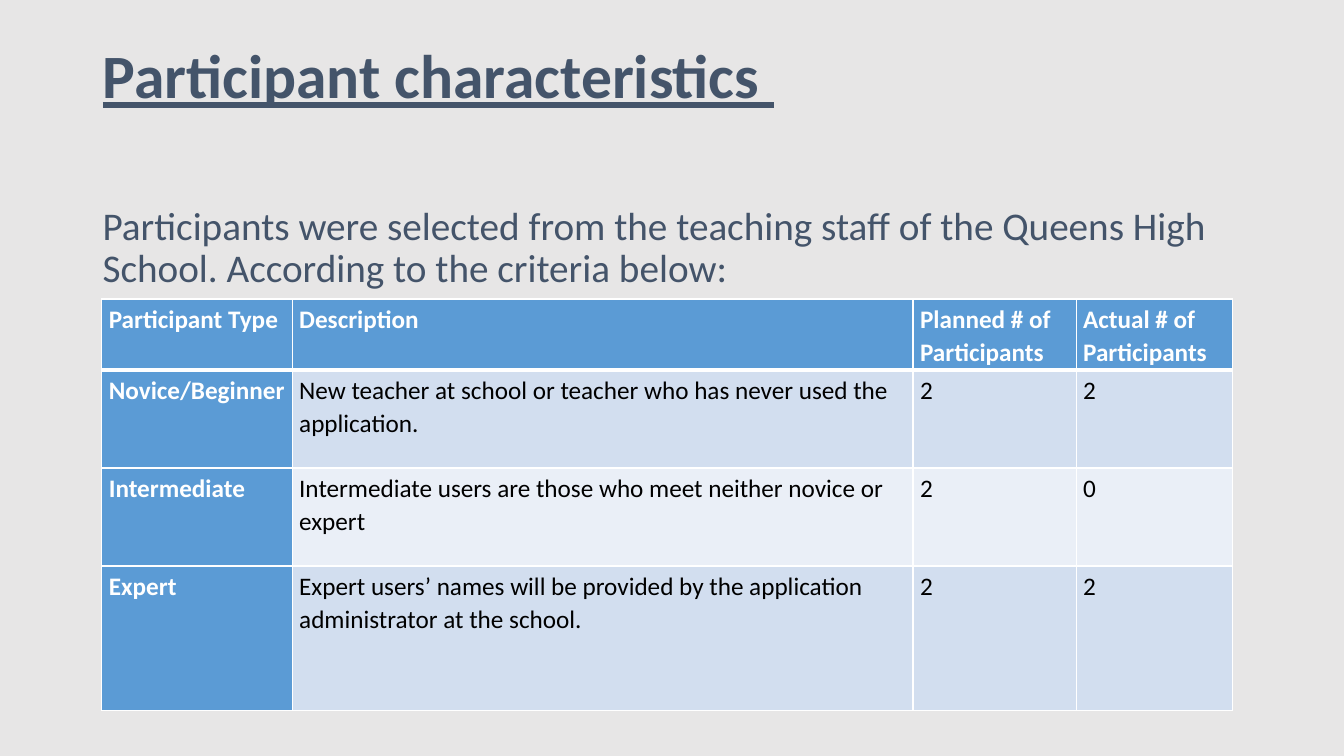
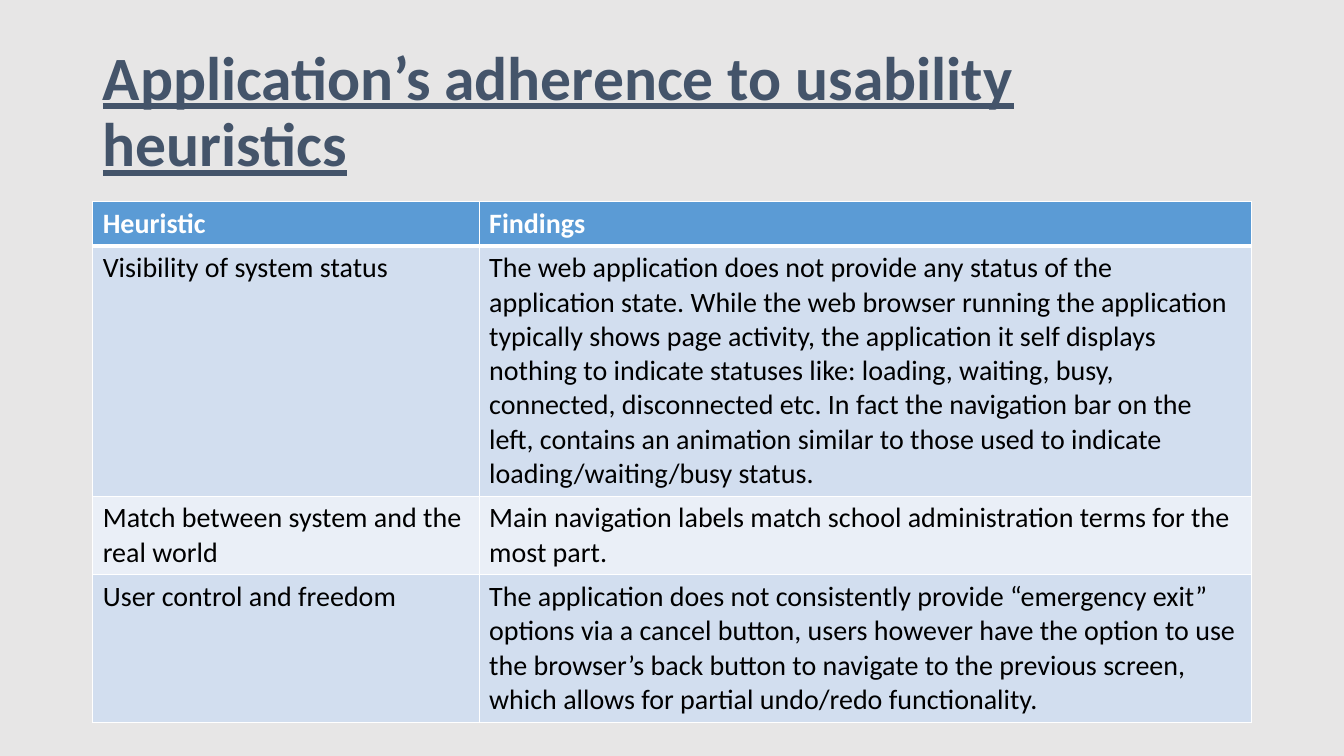
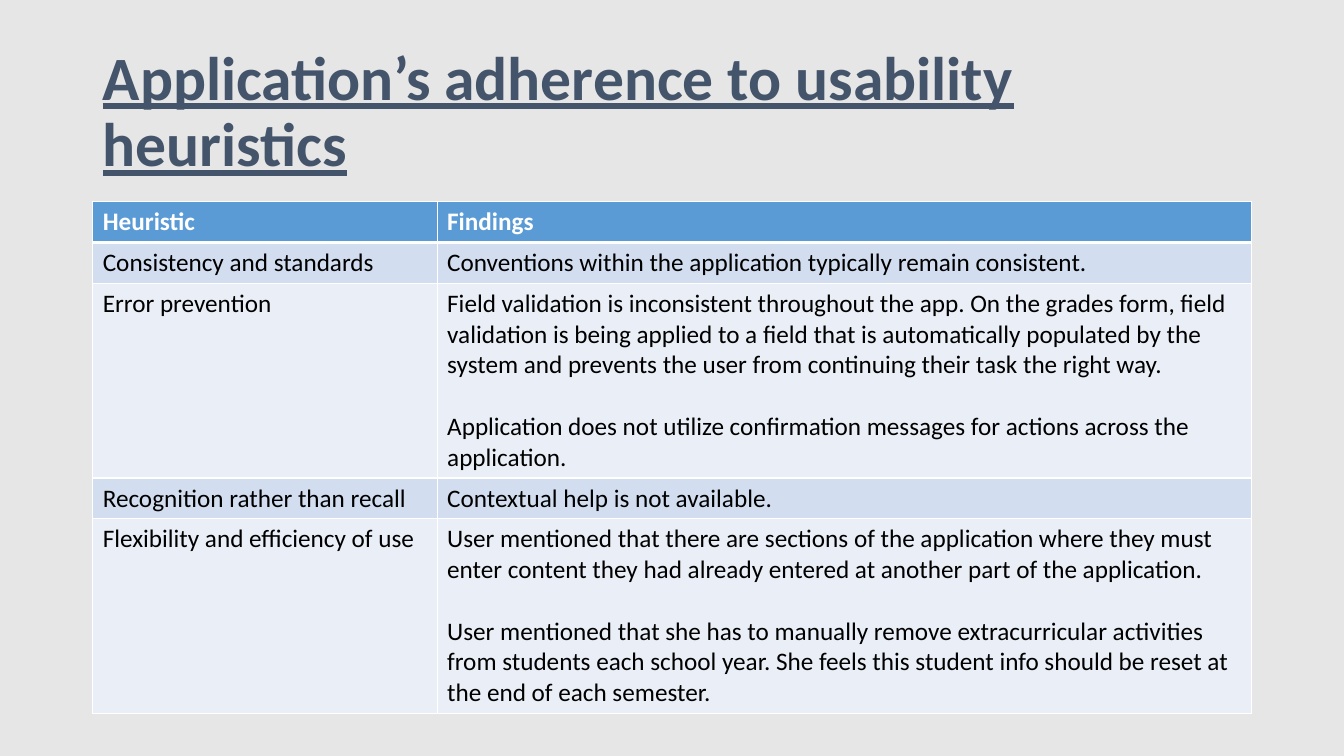
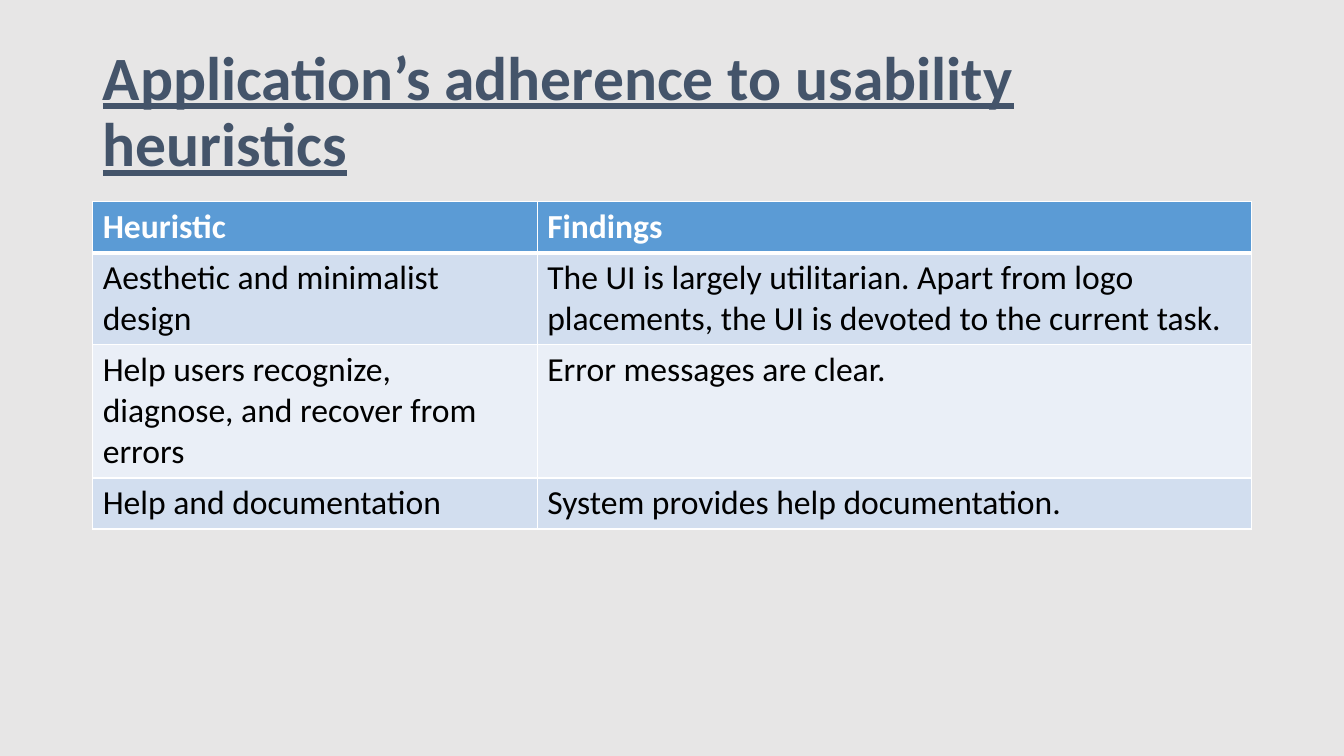
from dataclasses import dataclass

from lxml import etree
from pptx import Presentation
from pptx.dml.color import RGBColor
from pptx.enum import text as t
from pptx.oxml import ns
from pptx.util import Pt


@dataclass(frozen=True)
class Theme:
    font: str = "Calibri"
    back: str = "E7E6E6"
    ink: str = "44546A"
    head: str = "5B9BD5"
    dark: str = "D2DEEF"
    pale: str = "EAEFF7"
    white: str = "FFFFFF"
    black: str = "000000"
    title: float = 44
    body: float = 28
    line: float = 1.22  # line height as a share of the type size
    left: float = 66.25
    width: float = 828


THEME = Theme()


@dataclass(frozen=True)
class Grid:
    """A table: place, columns, row heights, type and cell texts."""
    left: float
    top: float
    cols: list[float]
    rows: list[float]
    size: float
    cells: list[list[str]]
    pad: tuple[float, float] = (7.2, 3.6)
    lead: float = 1.0
    side: bool = False  # first column styled like the header


@dataclass(frozen=True)
class Page:
    title: str
    grid: Grid
    intro: str = ""


# Shared styling
def style(para, size: float, color: str, bold: bool = False,
          under: bool = False, lead: float = 1.0) -> None:
    para.alignment = t.PP_ALIGN.LEFT
    para.line_spacing = lead
    for run in para.runs:
        font = run.font
        font.name, font.size = THEME.font, Pt(size)
        font.bold, font.underline = bold, under
        font.color.rgb = RGBColor.from_string(color)


def edge(cell, side: str, width: float) -> None:
    props = cell._tc.get_or_add_tcPr()
    line = etree.SubElement(props, ns.qn(f"a:ln{side}"), w=str(Pt(width)))
    fill = etree.SubElement(line, ns.qn("a:solidFill"))
    etree.SubElement(fill, ns.qn("a:srgbClr"), val=THEME.white)


# Slide parts
def add_title(slide, words: str, top: bool) -> None:
    box = slide.shapes.title
    box.left, box.top = Pt(THEME.left), Pt(28.75)
    box.width, box.height = Pt(THEME.width), Pt(104.5)
    frame = box.text_frame
    frame.text = words
    frame.word_wrap = True
    frame.auto_size = t.MSO_AUTO_SIZE.NONE
    frame.vertical_anchor = t.MSO_ANCHOR.TOP if top else t.MSO_ANCHOR.MIDDLE
    style(frame.paragraphs[0], THEME.title, THEME.ink, True, True, 0.9)


def add_intro(slide, words: str) -> None:
    box = slide.shapes.add_textbox(Pt(THEME.left), Pt(144),
                                   Pt(THEME.width), Pt(68))
    frame = box.text_frame
    frame.word_wrap = True
    frame.text = words
    style(frame.paragraphs[0], THEME.body, THEME.ink, lead=0.9)


def fill_cell(cell, words: str, grid: Grid, row: int, col: int) -> None:
    strong = row == 0 or (grid.side and col == 0)
    for side in "LRTB":
        thick = (row, side) in ((0, "B"), (1, "T"))
        edge(cell, side, 3 if thick else 1)
    shade = THEME.head if strong else THEME.dark if row % 2 else THEME.pale
    cell.fill.solid()
    cell.fill.fore_color.rgb = RGBColor.from_string(shade)
    cell.margin_left = cell.margin_right = Pt(grid.pad[0])
    cell.margin_top = cell.margin_bottom = Pt(grid.pad[1])
    cell.text_frame.text = words
    for num, para in enumerate(cell.text_frame.paragraphs):
        style(para, grid.size, THEME.white if strong else THEME.black,
              strong, lead=grid.lead)
        if num:
            para.space_before = Pt(grid.size * THEME.line)


def add_grid(slide, grid: Grid) -> None:
    frame = slide.shapes.add_table(
        len(grid.rows), len(grid.cols), Pt(grid.left), Pt(grid.top),
        Pt(sum(grid.cols)), Pt(sum(grid.rows)))
    table = frame.table
    table.first_col = grid.side
    for col, width in zip(table.columns, grid.cols):
        col.width = Pt(width)
    for row, height in zip(table.rows, grid.rows):
        row.height = Pt(height)
    for r, texts in enumerate(grid.cells):
        for c, words in enumerate(texts):
            fill_cell(table.cell(r, c), words, grid, r, c)


# Content
def findings(size: float, first: float, lines: list[int],
             cells: list[list[str]]) -> Page:
    """A heuristics page; each row is as tall as its lines of text."""
    rows = [round(n * size * THEME.line + 7.2, 1) for n in [1, *lines]]
    grid = Grid(THEME.left, 144, [first, THEME.width - first], rows, size,
                [["Heuristic", "Findings"], *cells])
    return Page("Application’s adherence to usability heuristics", grid)


PAGES = [
    Page(
        "Participant characteristics ",
        Grid(72.75, 213.5, [136, 443.5, 116.5, 111.5], [50.8, 70, 70, 103.5],
             18, [
            ["Participant Type", "Description", "Planned # of Participants",
             "Actual # of Participants"],
            ["Novice/Beginner",
             "New teacher at school or teacher who has never used the "
             "application.", "2", "2"],
            ["Intermediate",
             "Intermediate users are those who meet neither novice or expert",
             "2", "0"],
            ["Expert",
             "Expert users’ names will be provided by the application "
             "administrator at the school.", "2", "2"],
        ], pad=(5, 1.5), lead=1.1, side=True),
        "Participants were selected from the teaching staff of the Queens "
        "High School. According to the criteria below:",
    ),
    findings(20, 276, [7, 2, 4], [
        ["Visibility of system status",
         "The web application does not provide any status of the application "
         "state. While the web browser running the application typically "
         "shows page activity, the application it self displays nothing to "
         "indicate statuses like: loading, waiting, busy, connected, "
         "disconnected etc. In fact the navigation bar on the left, contains "
         "an animation similar to those used to indicate "
         "loading/waiting/busy status."],
        ["Match between system and the real world",
         "Main navigation labels match school administration terms for the "
         "most part."],
        ["User control and freedom",
         "The application does not consistently provide “emergency exit” "
         "options via a cancel button, users however have the option to use "
         "the browser’s back button to navigate to the previous screen, "
         "which allows for partial undo/redo functionality."],
    ]),
    findings(18, 246, [1, 6, 1, 6], [
        ["Consistency and standards",
         "Conventions within the application typically remain consistent."],
        ["Error prevention",
         "Field validation is inconsistent throughout the app. On the grades "
         "form, field validation is being applied to a field that is "
         "automatically populated by the system and prevents the user from "
         "continuing their task the right way.\n"
         "Application does not utilize confirmation messages for actions "
         "across the application."],
        ["Recognition rather than recall",
         "Contextual help is not available."],
        ["Flexibility and efficiency of use",
         "User mentioned that there are sections of the application where "
         "they must enter content they had already entered at another part "
         "of the application.\n"
         "User mentioned that she has to manually remove extracurricular "
         "activities from students each school year. She feels this student "
         "info should be reset at the end of each semester."],
    ]),
    findings(24, 317.5, [2, 3, 1], [
        ["Aesthetic and minimalist design",
         "The UI is largely utilitarian. Apart from logo placements, the UI "
         "is devoted to the current task."],
        ["Help users recognize, diagnose, and recover from errors",
         "Error messages are clear."],
        ["Help and documentation", "System provides help documentation."],
    ]),
]


def main() -> None:
    prs = Presentation()
    prs.slide_width, prs.slide_height = Pt(960), Pt(540)
    back = prs.slide_master.background.fill
    back.solid()
    back.fore_color.rgb = RGBColor.from_string(THEME.back)
    for page in PAGES:
        slide = prs.slides.add_slide(prs.slide_layouts[5])
        add_title(slide, page.title, top=bool(page.intro))
        if page.intro:
            add_intro(slide, page.intro)
        add_grid(slide, page.grid)
    prs.save("out.pptx")


if __name__ == "__main__":
    main()
